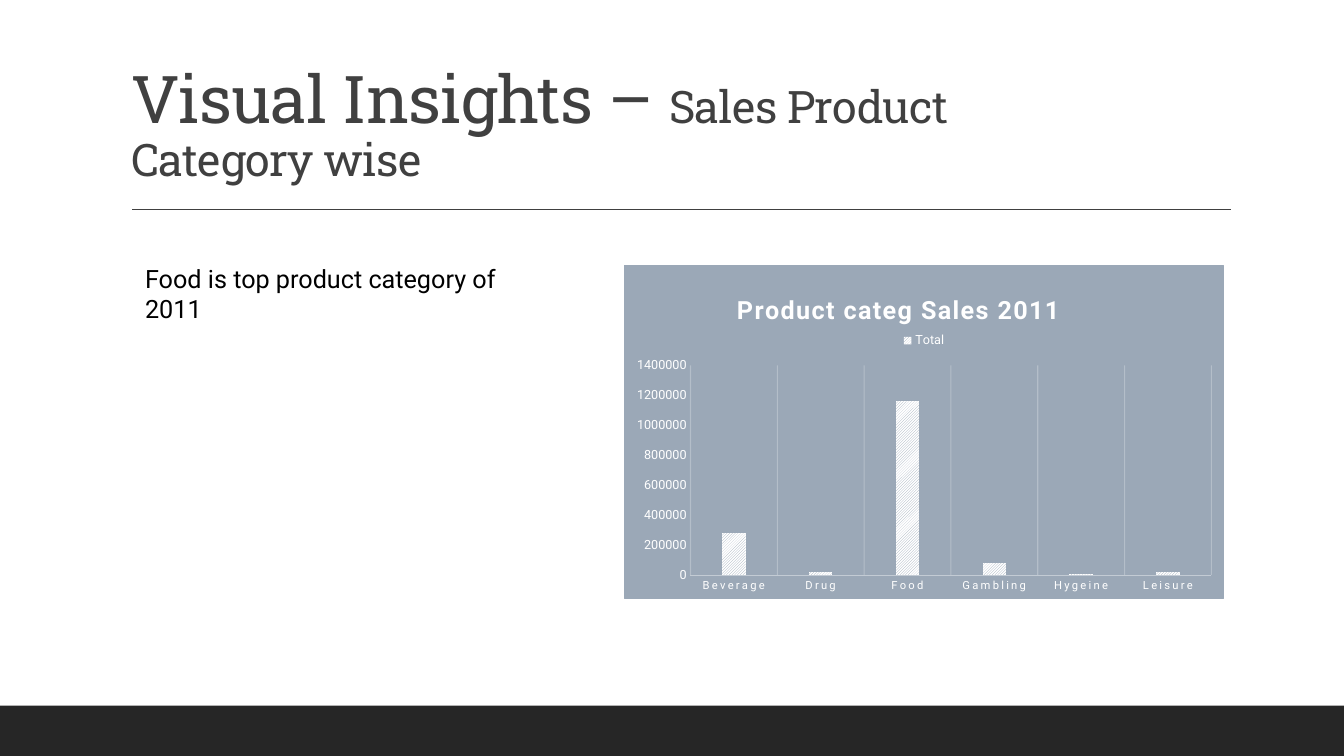
from pptx import Presentation
from pptx.chart.data import CategoryChartData
from pptx.dml.color import RGBColor
from pptx.enum.chart import XL_CHART_TYPE as ChartType, XL_LEGEND_POSITION as LegendPosition
from pptx.enum.chart import XL_TICK_MARK as TickMark
from pptx.enum.dml import MSO_PATTERN as Pattern
from pptx.enum.shapes import MSO_CONNECTOR as Connector, MSO_SHAPE as Shape
from pptx.enum.text import MSO_ANCHOR as Anchor, MSO_AUTO_SIZE as AutoSize, PP_ALIGN as Align
from pptx.oxml import parse_xml
from pptx.oxml.ns import nsdecls, qn
from pptx.util import Inches, Pt

WHITE = RGBColor(0xFF, 0xFF, 0xFF)
BLACK = RGBColor(0, 0, 0)
FOOTER_GRAY = RGBColor(0x26, 0x26, 0x26)
TITLE_GRAY = RGBColor(0x40, 0x40, 0x40)
CHART_BLUE = RGBColor(0x9B, 0xA8, 0xB7)
AXIS_GRAY = RGBColor(0xC3, 0xCB, 0xD4)
BODY_FONT = "Roboto"
TITLE_FONT = "Roboto Slab"

CATEGORY_SALES = {
    "Beverage": 280000,
    "Drug": 20000,
    "Food": 1160000,
    "Gambling": 80000,
    "Hygeine": 5000,
    "Leisure": 20000,
}


def format_font(font, size, color, name=BODY_FONT, bold=False):
    font.size = Pt(size)
    font.color.rgb = color
    font.name = name
    font.bold = bold


def add_text(paragraph, text, size, color, name=BODY_FONT, bold=False, spacing=0):
    run = paragraph.add_run()
    run.text = text
    format_font(run.font, size, color, name, bold)
    if spacing:
        run.font._element.set("spc", str(spacing))


def add_footer_band(slide):
    band = slide.shapes.add_shape(Shape.RECTANGLE, 0, Inches(7), Inches(13.33), Inches(0.5))
    band.shadow.inherit = False
    band.fill.solid()
    band.fill.fore_color.rgb = FOOTER_GRAY
    band.line.fill.background()


def add_rule(slide):
    rule = slide.shapes.add_connector(
        Connector.STRAIGHT, Inches(1.31), Inches(2.08), Inches(12.21), Inches(2.08))
    rule.line.color.rgb = TITLE_GRAY
    rule.line.width = Pt(1)
    rule._element.spPr.append(parse_xml(f"<a:effectLst {nsdecls('a')}/>"))


def format_title(slide):
    title = slide.shapes.title
    title.left, title.top = Inches(1.2), Inches(0.31)
    title.width, title.height = Inches(11), Inches(1.59)
    frame = title.text_frame
    frame.auto_size = AutoSize.NONE
    frame.vertical_anchor = Anchor.BOTTOM
    paragraph = frame.paragraphs[0]
    paragraph.alignment = Align.LEFT
    paragraph.line_spacing = 0.9
    add_text(paragraph, "Visual Insights – ", 47, TITLE_GRAY, TITLE_FONT, spacing=-50)
    add_text(paragraph, "Sales Product", 32, TITLE_GRAY, TITLE_FONT, spacing=-50)
    paragraph.add_line_break()
    add_text(paragraph, "Category wise", 32, TITLE_GRAY, TITLE_FONT, spacing=-50)


def add_finding(slide):
    box = slide.shapes.add_textbox(Inches(1.34), Inches(2.56), Inches(4.12), Inches(0.4))
    box.text_frame.word_wrap = True
    add_text(box.text_frame.paragraphs[0], "Food is top product category of 2011", 18, BLACK)


def manual_layout(x, y, width=None, height=None, inner=False):
    target = '<c:layoutTarget val="inner"/>' if inner else ""
    size = f'<c:w val="{width}"/><c:h val="{height}"/>' if width else ""
    return parse_xml(
        f'<c:layout {nsdecls("c")}><c:manualLayout>{target}'
        f'<c:xMode val="edge"/><c:yMode val="edge"/><c:x val="{x}"/><c:y val="{y}"/>{size}'
        "</c:manualLayout></c:layout>")


def place_plot_area(chart):
    plot_area = chart.element.chart.plotArea
    for layout in plot_area.findall(qn("c:layout")):
        plot_area.remove(layout)
    plot_area.insert(0, manual_layout(0.11, 0.3, 0.87, 0.63, inner=True))


def fill_chart_area(chart):
    fill = f'<a:solidFill><a:srgbClr val="{CHART_BLUE}"/></a:solidFill>'
    area = parse_xml(
        f'<c:spPr {nsdecls("c", "a")}>{fill}<a:ln w="9525">{fill}</a:ln></c:spPr>')
    chart.element.chart.addnext(area)


def format_chart_title(chart):
    title = chart.chart_title
    add_text(title.text_frame.paragraphs[0], "Product categ Sales 2011", 18, WHITE,
             bold=True, spacing=100)
    element = title._element
    for layout in element.findall(qn("c:layout")):
        element.remove(layout)
    element.find(qn("c:tx")).addnext(manual_layout(0.18, 0.07))


def format_axes(chart):
    category_axis, value_axis = chart.category_axis, chart.value_axis
    for axis, size in ((category_axis, 8), (value_axis, 9)):
        axis.major_tick_mark = axis.minor_tick_mark = TickMark.NONE
        format_font(axis.tick_labels.font, size, WHITE)
    category_axis.tick_labels.font._element.set("spc", "150")
    category_axis.format.line.color.rgb = AXIS_GRAY
    category_axis.format.line.width = Pt(0.25)
    category_axis.has_major_gridlines = True
    grid_line = category_axis.major_gridlines.format.line
    grid_line.color.rgb = WHITE
    grid_line.width = Pt(0.75)
    grid_color = category_axis.major_gridlines._xAx.find(".//" + qn("c:majorGridlines")).find(
        ".//" + qn("a:srgbClr"))
    grid_color.append(parse_xml(f'<a:alpha {nsdecls("a")} val="25000"/>'))
    value_axis.has_major_gridlines = False
    value_axis.format.line.fill.background()
    value_axis.minimum_scale, value_axis.maximum_scale = 0, 1400000
    value_axis.major_unit = 200000


def format_columns(chart):
    plot = chart.plots[0]
    plot.vary_by_categories = False
    plot.gap_width = 269
    plot.overlap = -20
    fill = plot.series[0].format.fill
    fill.patterned()
    fill.pattern = Pattern.LIGHT_UPWARD_DIAGONAL
    fill.fore_color.rgb = CHART_BLUE
    fill.back_color.rgb = WHITE


def add_sales_chart(slide):
    data = CategoryChartData()
    data.categories = list(CATEGORY_SALES)
    data.add_series("Total", list(CATEGORY_SALES.values()))
    chart = slide.shapes.add_chart(
        ChartType.COLUMN_CLUSTERED, Inches(6.19), Inches(2.63), Inches(5.95), Inches(3.31),
        data).chart
    format_font(chart.font, 10, BLACK)
    fill_chart_area(chart)
    format_chart_title(chart)
    chart.has_legend = True
    chart.legend.position = LegendPosition.TOP
    chart.legend.include_in_layout = False
    format_font(chart.legend.font, 9, WHITE)
    format_axes(chart)
    format_columns(chart)
    place_plot_area(chart)


def main():
    presentation = Presentation()
    presentation.slide_width, presentation.slide_height = Inches(13.33), Inches(7.5)
    slide = presentation.slides.add_slide(presentation.slide_layouts[5])
    add_footer_band(slide)
    add_rule(slide)
    format_title(slide)
    add_finding(slide)
    add_sales_chart(slide)
    presentation.save("out.pptx")


if __name__ == "__main__":
    main()
